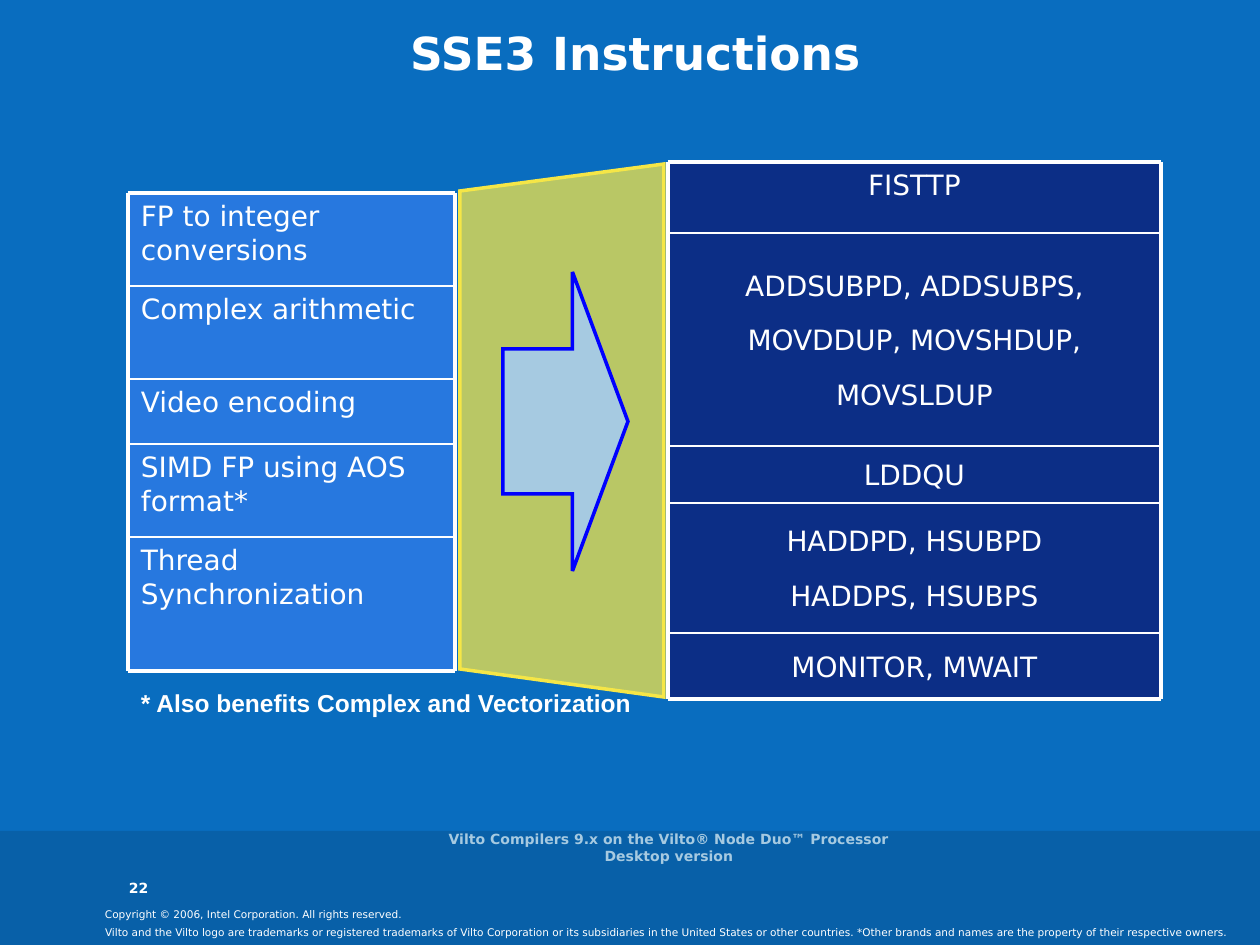
from lxml.etree import SubElement
from pptx import Presentation
from pptx.dml.color import RGBColor
from pptx.enum.shapes import MSO_CONNECTOR, MSO_SHAPE
from pptx.enum.text import MSO_ANCHOR as ANCHOR, PP_ALIGN as ALIGN
from pptx.oxml.ns import qn
from pptx.util import Pt

PX = 914400 / 126
WHITE = RGBColor(0xFF, 0xFF, 0xFF)
BACKGROUND = RGBColor(0x09, 0x6D, 0xBF)
BAND = RGBColor(0x08, 0x60, 0xA8)
USE_FILL = RGBColor(0x45, 0x83, 0xFF)
INSTRUCTION_FILL = RGBColor(0x0C, 0x2E, 0x86)
YELLOW = RGBColor(0xF5, 0xE6, 0x47)
PALE_BLUE = RGBColor(0xA6, 0xCA, 0xE1)
ARROW_LINE = RGBColor(0x00, 0x00, 0xFF)
FONT = "DejaVu Sans"
PAD = (13, 6, 13, 6)
NOTE_PAD = (13, 6, 6, 6)
NO_PAD = (0, 0, 0, 0)

USES = [
    (["FP to integer conversions"], 93, ANCHOR.TOP),
    (["Complex arithmetic"], 93, ANCHOR.TOP),
    (["Video encoding"], 65, ANCHOR.TOP),
    (["SIMD FP using AOS format*"], 93, ANCHOR.TOP),
    (["Thread Synchronization"], 134, ANCHOR.TOP),
]
INSTRUCTIONS = [
    (["FISTTP"], 71, ANCHOR.TOP),
    (["ADDSUBPD, ADDSUBPS,", "MOVDDUP, MOVSHDUP,", "MOVSLDUP"], 213, ANCHOR.MIDDLE),
    (["LDDQU"], 57, ANCHOR.MIDDLE),
    (["HADDPD, HSUBPD", "HADDPS, HSUBPS"], 130, ANCHOR.MIDDLE),
    (["MONITOR, MWAIT"], 66, ANCHOR.MIDDLE),
]
FUNNEL = [(664, 164), (664, 697), (460, 669), (460, 191)]
LABELS = [
    ("Copyright © 2006, Intel Corporation. All rights reserved.",
     (92, 902, 908, 25), PAD, 6, False, WHITE, FONT, ALIGN.LEFT, ANCHOR.TOP, 1.0),
    ("Vilto and the Vilto logo are trademarks or registered trademarks of Vilto "
     "Corporation or its subsidiaries in the United States or other countries. "
     "*Other brands and names are the property of their respective owners.",
     (92, 920, 1168, 25), PAD, 6, False, WHITE, FONT, ALIGN.LEFT, ANCHOR.TOP, 1.0),
    ("* Also benefits Complex and Vectorization",
     (128, 685, 515, 52), NOTE_PAD, 14, True, WHITE, "Arial", ALIGN.LEFT, ANCHOR.TOP, 0.9),
    ("SSE3 Instructions",
     (58, 25, 1155, 123), NO_PAD, 26, True, WHITE, FONT, ALIGN.CENTER, ANCHOR.TOP, 1.0),
    ("Vilto Compilers 9.x on the Vilto® Node Duo™ Processor Desktop version",
     (417, 826, 504, 42), NO_PAD, 8, True, PALE_BLUE, FONT, ALIGN.CENTER, ANCHOR.MIDDLE, 1.0),
    ("22",
     (129, 854, 57, 42), NO_PAD, 8, True, WHITE, FONT, ALIGN.LEFT, ANCHOR.BOTTOM, 1.0),
]


def px(*lengths):
    return [round(length * PX) for length in lengths]


def write(frame, lines, pad, size, bold=False, color=WHITE, font=FONT,
          align=ALIGN.LEFT, anchor=ANCHOR.TOP, spacing=1.0):
    frame.word_wrap = True
    frame.vertical_anchor = anchor
    (frame.margin_left, frame.margin_top,
     frame.margin_right, frame.margin_bottom) = px(*pad)
    for i, line in enumerate(lines):
        paragraph = frame.add_paragraph() if i else frame.paragraphs[0]
        paragraph.alignment = align
        paragraph.line_spacing = spacing
        if i:
            paragraph.space_before = Pt(12)
        run = paragraph.add_run()
        run.text = line
        run.font.size, run.font.bold = Pt(size), bold
        run.font.name, run.font.color.rgb = font, color


def paint(shape, fill, line=None, opacity=100):
    shape.shadow.inherit = False
    shape.fill.solid()
    shape.fill.fore_color.rgb = fill
    if opacity < 100:
        color = shape._element.spPr.find(qn("a:solidFill")).find(qn("a:srgbClr"))
        SubElement(color, qn("a:alpha")).set("val", str(opacity * 1000))
    if line is None:
        shape.line.fill.background()
    else:
        shape.line.color.rgb, shape.line.width = line, Pt(2)
        SubElement(shape.line._get_or_add_ln(), qn("a:miter")).set("lim", "800000")


def add_rule(x1, y1, x2, y2, width):
    rule = slide.shapes.add_connector(MSO_CONNECTOR.STRAIGHT, *px(x1, y1, x2, y2))
    rule.line.color.rgb, rule.line.width = WHITE, Pt(width)
    SubElement(rule._element.spPr, qn("a:effectLst"))


def add_column(rows, left, top, width, fill, opacity, align, side_breaks):
    edges = [top]
    for lines, height, anchor in rows:
        row = slide.shapes.add_shape(
            MSO_SHAPE.RECTANGLE, *px(left, edges[-1], width, height))
        paint(row, fill, opacity=opacity)
        write(row.text_frame, lines, PAD, 16, align=align, anchor=anchor)
        edges.append(edges[-1] + height)
    right = left + width
    for y in edges:
        add_rule(left, y, right, y, 2.25 if y in (edges[0], edges[-1]) else 1)
    for start, end in zip(side_breaks, side_breaks[1:]):
        for x in (left, right):
            add_rule(x, edges[start], x, edges[end], 2.25)


deck = Presentation()
deck.slide_width, deck.slide_height = px(1260, 945)
slide = deck.slides.add_slide(deck.slide_layouts[6])
slide.background.fill.solid()
slide.background.fill.fore_color.rgb = BACKGROUND

paint(slide.shapes.add_shape(MSO_SHAPE.RECTANGLE, *px(0, 831, 1260, 114)), BAND)

add_column(USES, 128, 193, 327, USE_FILL, 50, ALIGN.LEFT, (0, 3, 5))
add_column(INSTRUCTIONS, 668, 162, 493, INSTRUCTION_FILL, 100, ALIGN.CENTER, (0, 5))

outline = slide.shapes.build_freeform(*FUNNEL[0], scale=PX)
outline.add_line_segments(FUNNEL[1:], close=True)
paint(outline.convert_to_shape(), YELLOW, YELLOW, 75)

arrow = slide.shapes.add_shape(MSO_SHAPE.RIGHT_ARROW, *px(503, 272, 125, 299))
arrow.adjustments[0], arrow.adjustments[1] = 0.485, 0.444
paint(arrow, PALE_BLUE, ARROW_LINE)

for text, box, *style in LABELS:
    write(slide.shapes.add_textbox(*px(*box)).text_frame, [text], *style)

deck.save("out.pptx")
